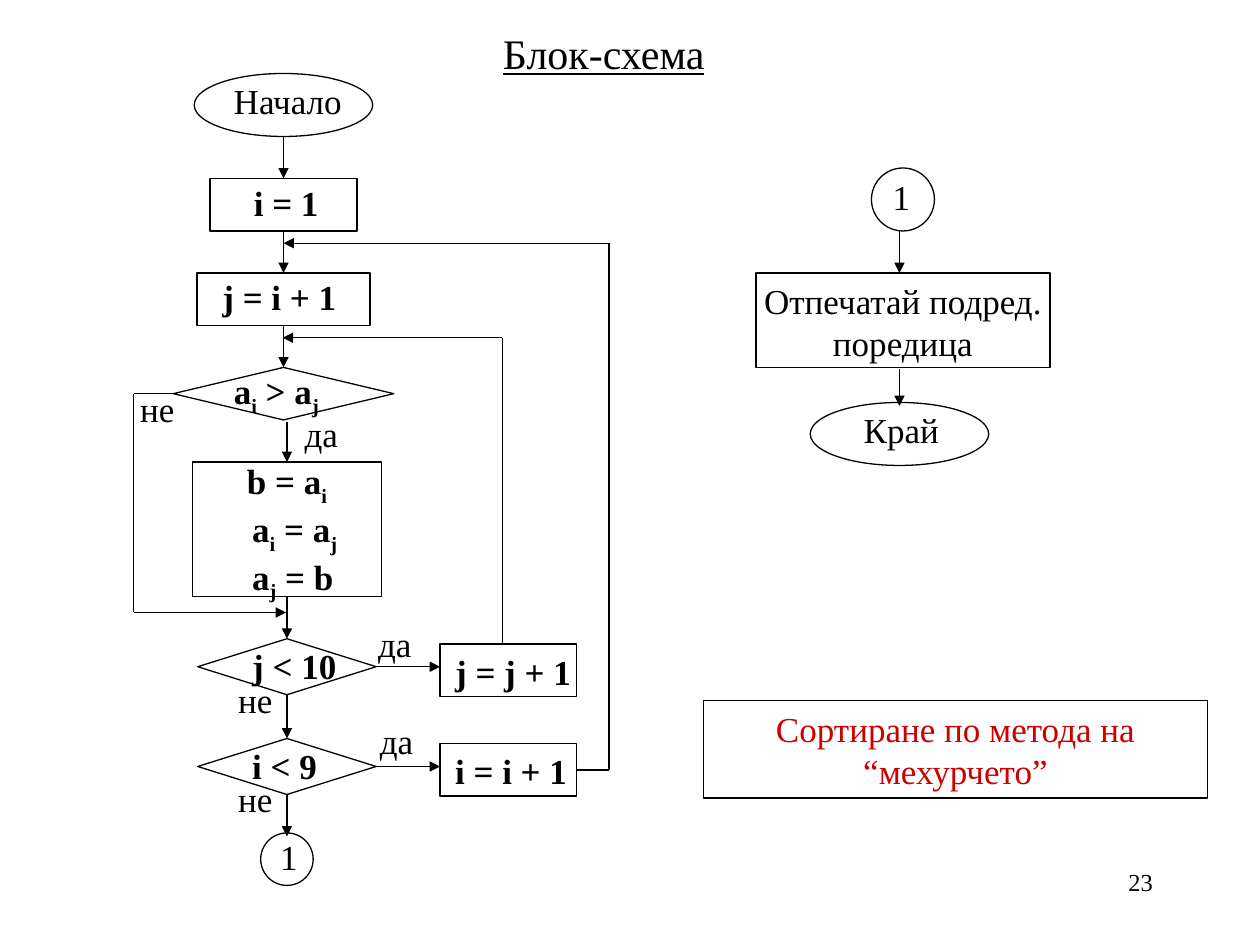
from itertools import pairwise

from lxml import etree
from pptx import Presentation, util as u
from pptx.dml.color import RGBColor
from pptx.enum import shapes, text
from pptx.oxml.ns import qn

FONT, BLACK, RED = "Times New Roman", "000000", "CC0000"
TOP, LEFT, BOTTOM, RIGHT = range(4)
M = shapes.MSO_SHAPE
LEFT_AL, CENTER, RIGHT_AL = (
    text.PP_ALIGN.LEFT, text.PP_ALIGN.CENTER, text.PP_ALIGN.RIGHT)

# Flowchart nodes: name -> (kind, left, top, width, height)
NODES = {
    "start": (M.OVAL, 111, 42, 102, 36),
    "i = 1": (M.RECTANGLE, 120, 102, 84, 30),
    "j = i + 1": (M.RECTANGLE, 112.5, 156, 99, 30),
    "compare": (M.DIAMOND, 99, 210, 126, 30),
    "swap": (M.RECTANGLE, 110, 264, 108, 77),
    "j < 10": (M.DIAMOND, 113, 365, 102, 32),
    "j = j + 1": (M.RECTANGLE, 251.5, 368, 78, 30),
    "i < 9": (M.DIAMOND, 113, 422, 102, 32),
    "i = i + 1": (M.RECTANGLE, 251.5, 425, 78, 30),
    "jump out": (M.OVAL, 149, 476, 30, 30),
    "jump in": (M.OVAL, 498, 96, 36, 36),
    "print": (M.RECTANGLE, 432, 156, 168, 54),
    "end": (M.OVAL, 463, 230, 102, 36),
    "caption": (M.RECTANGLE, 402, 400.5, 288, 55.5),
}

# Paths: points are (x, y) or (node, side); each path ends in an arrowhead
PATHS = [
    [(162, 78), ("i = 1", TOP)],
    [("i = 1", BOTTOM), ("j = i + 1", TOP)],
    [("j = i + 1", BOTTOM), ("compare", TOP)],
    [(164, 241), ("swap", TOP)],
    [("swap", BOTTOM), ("j < 10", TOP)],
    [("j < 10", BOTTOM), ("i < 9", TOP)],
    [("i < 9", BOTTOM), (164, 478)],
    [("j < 10", RIGHT), (251.5, 381)],
    [("i < 9", RIGHT), (251.5, 438)],
    [(287, 368), (287, 193), (161.5, 193)],
    [("i = i + 1", RIGHT), (348, 440), (348, 139), (162, 139)],
    [("compare", LEFT), (76.5, 225), (76.5, 350), (163.5, 350)],
    [(514, 132), (514, 156)],
    [(514, 211), (514, 232)],
]

# Labels: lines, box, format; "_" puts the next letter in subscript
BOLD, MID = {"bold": True}, {"align": CENTER}
LABELS = [
    (["Блок-схема"], (270, 12, 150, 36),
     {"size": 24, "underline": True, "align": CENTER}),
    (["Начало"], (126.5, 42, 78, 32), {}),
    (["i = 1"], (138, 100, 69, 32), BOLD),
    (["j = i + 1"], (120, 154, 109, 32), BOLD),
    (["a_i > a_j"], (126.5, 207.5, 84, 34.5), BOLD),
    (["b = a_i", "a_i = a_j", "a_j = b"], (134, 259, 84, 89),
     {"bold": True, "indent": 3}),
    (["j < 10"], (137, 365, 70, 32), BOLD),
    (["j = j + 1"], (253, 368, 84, 32), BOLD),
    (["i < 9"], (137, 422, 70, 32), BOLD),
    (["i = i + 1"], (253, 425, 84, 32), BOLD),
    (["1"], (153, 474, 36, 32), {}),
    (["1"], (503, 97, 30, 32), {}),
    (["Отпечатай подред. поредица"], (426, 156, 180, 55.5), MID),
    (["Край"], (486.5, 230, 78, 32), {}),
    (["23"], (516, 492, 150, 36),
     {"size": 14, "align": RIGHT_AL, "grow": False}),
]
YES = [(167, 232), (209, 352), (210, 407.5)]
NO = [(73, 218), (129, 384), (129, 441)]
for word, spots in (("да", YES), ("не", NO)):
    LABELS += [([word], (x, y, 36, 32), {}) for x, y in spots]


def rgb(value):
    return RGBColor.from_string(value)


def points(*values):
    return [u.Pt(v) for v in values]


def write(sp, lines, size=20, color=BLACK, bold=False, underline=False,
          align=LEFT_AL, indent=0, grow=True):
    """Fill a shape with lines; lines after the first are indented."""
    tf = sp.text_frame
    tf.word_wrap = True
    tf.vertical_anchor = text.MSO_ANCHOR.TOP
    fit = text.MSO_AUTO_SIZE
    tf.auto_size = fit.SHAPE_TO_FIT_TEXT if grow else fit.NONE
    for n, line in enumerate(lines):
        p = tf.paragraphs[0] if n == 0 else tf.add_paragraph()
        p.alignment = align
        if n and indent:
            p._p.get_or_add_pPr().set("marL", str(u.Pt(indent)))
        first, *rest = line.split("_")
        pieces = [(first, False)]
        for part in rest:
            pieces += [(part[0], True), (part[1:], False)]
        for piece, is_sub in pieces:
            if not piece:
                continue
            r = p.add_run()
            r.text = piece
            f = r.font
            f.name, f.size, f.bold, f.underline = FONT, u.Pt(size), bold, underline
            f.color.rgb = rgb(color)
            if is_sub:
                r._r.get_or_add_rPr().set("baseline", "-25000")


def outline(line):
    line.color.rgb = rgb(BLACK)
    line.width = u.Pt(0.75)


def locate(point):
    """Return the (x, y) of a point or of the middle of a node's side."""
    if point[0] not in NODES:
        return point
    name, side = point
    _, x, y, w, h = NODES[name]
    return {TOP: (x + w / 2, y), LEFT: (x, y + h / 2),
            BOTTOM: (x + w / 2, y + h), RIGHT: (x + w, y + h / 2)}[side]


def connect(slide, nodes, a, b, arrow):
    c = slide.shapes.add_connector(
        shapes.MSO_CONNECTOR.STRAIGHT, *points(*locate(a), *locate(b)))
    outline(c.line)
    if arrow:
        etree.SubElement(c.line._get_or_add_ln(), qn("a:tailEnd"), type="triangle")
    etree.SubElement(c._element.spPr, qn("a:effectLst"))
    for point, join in ((a, c.begin_connect), (b, c.end_connect)):
        if point[0] in nodes:
            join(nodes[point[0]], point[1])


def main():
    prs = Presentation()
    prs.slide_width, prs.slide_height = points(720, 540)
    s = prs.slides.add_slide(prs.slide_layouts[6])

    # Node outlines
    nodes = {}
    for name, (kind, *box) in NODES.items():
        sp = nodes[name] = s.shapes.add_shape(kind, *points(*box))
        sp.shadow.inherit = False
        sp.fill.background()
        outline(sp.line)
    write(nodes["caption"], ["Сортиране по метода на “мехурчето”"],
          color=RED, align=CENTER)

    # Arrows and loops
    for path in PATHS:
        for a, b in pairwise(path):
            connect(s, nodes, a, b, arrow=b is path[-1])

    # Labels
    for lines, box, style in LABELS:
        write(s.shapes.add_textbox(*points(*box)), lines, **style)

    prs.save("out.pptx")


if __name__ == "__main__":
    main()
